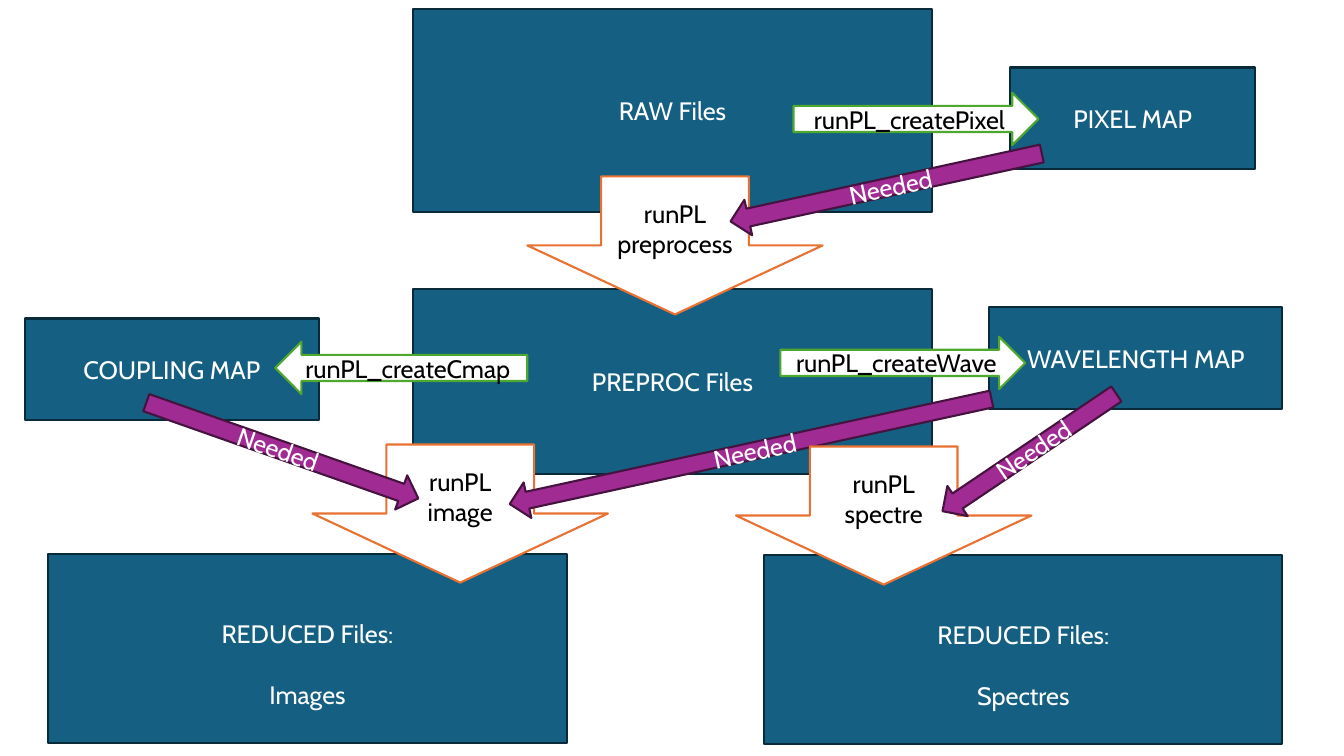
from dataclasses import dataclass

from pptx import Presentation
from pptx import util as u
from pptx.dml.color import RGBColor
from pptx.enum import shapes, text

PX = 9144
KIND = shapes.MSO_SHAPE


@dataclass(frozen=True)
class Theme:
    font: str = "Cabin"
    size: int = 18
    line_pt: float = 1.5
    light: str = "FFFFFF"
    dark: str = "000000"
    box: tuple = ("156082", "092A39")
    create: tuple = ("FFFFFF", "4EA72E")
    process: tuple = ("FFFFFF", "E97132")
    needed: tuple = ("A02B93", "461340")


THEME = Theme()


def rgb(value):
    return RGBColor.from_string(value)


def add_block(s, kind, at, colours, ink, lines):
    sp = s.shapes.add_shape(kind, *(v * PX for v in at))
    sp.shadow.inherit = False
    fill, line = colours
    sp.fill.solid()
    sp.fill.fore_color.rgb = rgb(fill)
    sp.line.color.rgb = rgb(line)
    sp.line.width = u.Pt(THEME.line_pt)
    tf = sp.text_frame
    tf.word_wrap = True
    tf.vertical_anchor = text.MSO_ANCHOR.MIDDLE
    tf.text = "\n".join(lines)
    for p in tf.paragraphs:
        p.alignment = text.PP_ALIGN.CENTER
        for r in p.runs:
            r.font.name = THEME.font
            r.font.size = u.Pt(THEME.size)
            r.font.color.rgb = rgb(ink)
    return sp


def add_box(s, at, *lines):
    return add_block(s, KIND.RECTANGLE, at, THEME.box, THEME.light, lines)


def add_reduced_box(s, left, top, product):
    tf = add_box(s, (left, top, 514, 187), "REDUCED Files:", product).text_frame
    tf.margin_top = 35 * PX
    tf.paragraphs[1].space_before = u.Pt(22)


def add_create_arrow(s, left, top, width, name, kind=KIND.RIGHT_ARROW):
    add_block(s, kind, (left, top, width, 52), THEME.create, THEME.dark,
              [f"runPL_create{name}"])


def add_process_arrow(s, left, top, step):
    add_block(s, KIND.DOWN_ARROW, (left, top, 293, 137), THEME.process,
              THEME.dark, ["runPL", step])


def add_needed_arrow(s, left, top, width, angle, kind=KIND.LEFT_ARROW):
    sp = add_block(s, kind, (left, top, width, 36), THEME.needed,
                   THEME.light, ["Needed"])
    sp.rotation = angle
    return sp


def main():
    prs = Presentation()
    prs.slide_width, prs.slide_height = 1333 * PX, 750 * PX
    s = prs.slides.add_slide(prs.slide_layouts[6])

    add_box(s, (25, 316, 291, 101), "COUPLING MAP")
    add_box(s, (1002, 67, 243, 101), "PIXEL MAP")
    add_box(s, (410, 9, 514, 201), "RAW Files")
    add_box(s, (410, 287, 514, 183), "PREPROC Files")
    add_reduced_box(s, 48, 550, "Images")
    add_create_arrow(s, 787, 92, 243, "Pixel")
    add_box(s, (981, 305, 291, 101), "WAVELENGTH MAP")
    add_create_arrow(s, 273, 339, 250, "Cmap", KIND.LEFT_ARROW)
    add_process_arrow(s, 523, 175, "preprocess")
    add_create_arrow(s, 774, 334, 243, "Wave")
    add_needed_arrow(s, 721, 168, 316, 347.7)
    add_reduced_box(s, 758, 551, "Spectres")
    add_process_arrow(s, 310, 441, "image")
    wave_to_image = add_needed_arrow(s, 500, 430, 489, 347.7)
    wave_to_image.adjustments[0] = 0.47
    add_needed_arrow(s, 137, 429, 286, 19.4, KIND.RIGHT_ARROW)
    add_process_arrow(s, 730, 443, "spectre")
    add_needed_arrow(s, 917, 431, 208, 326)

    prs.save("out.pptx")


if __name__ == "__main__":
    main()
